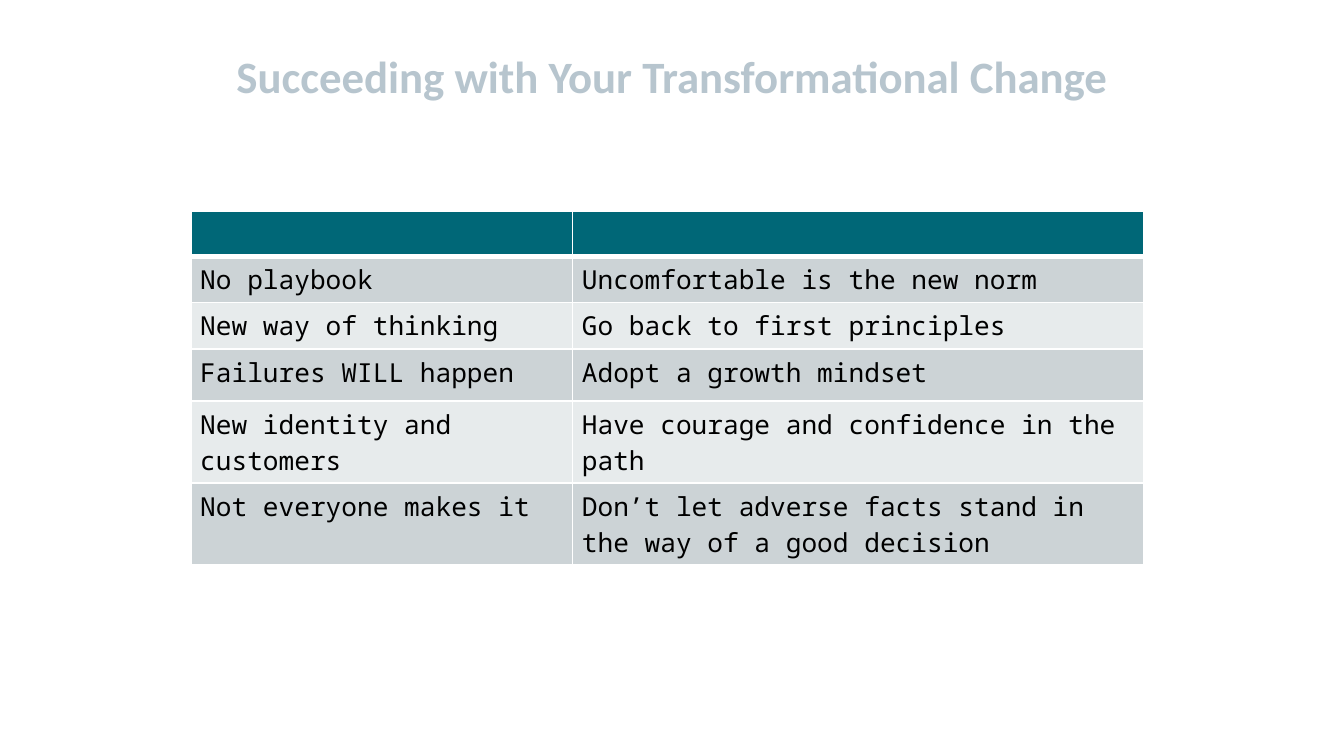
from lxml import etree
from pptx import Presentation
from pptx.dml.color import RGBColor
from pptx.enum.text import MSO_ANCHOR, PP_ALIGN
from pptx.oxml.ns import qn
from pptx.util import Inches, Pt

MIDDLE = MSO_ANCHOR.MIDDLE
TOP = MSO_ANCHOR.TOP
LEFT = PP_ALIGN.LEFT
CENTER = PP_ALIGN.CENTER

TITLE = "Succeeding with Your Transformational Change"
ROWS = [
    ("", ""),
    ("No playbook", "Uncomfortable is the new norm"),
    ("New way of thinking", "Go back to first principles"),
    ("Failures WILL happen", "Adopt a growth mindset"),
    ("New identity and customers", "Have courage and confidence in the path"),
    ("Not everyone makes it",
     "Don’t let adverse facts stand in the way of a good decision"),
]
WIDTHS = [2.84, 4.25]
HEIGHTS = [0.3, 0.3, 0.3, 0.39, 0.3, 0.53]
THEME = {
    "title": "B7C5CE", "text": "000000", "line": "FFFFFF",
    "head": "006777", "bands": ["CCD3D6", "E7EBEC"],
    "title_font": "Calibri", "font": "Noto Sans Mono",
    "title_size": 24, "size": 14, "head_size": 15, "thin": 1, "thick": 3,
}


def write(frame, text, font=THEME["font"], size=THEME["size"],
          color=THEME["text"], bold=False, align=LEFT, anchor=TOP):
    frame.word_wrap = True
    frame.vertical_anchor = anchor
    para = frame.paragraphs[0]
    para.alignment = align
    run = para.add_run()
    run.text = text
    run.font.name = font
    run.font.size = Pt(size)
    run.font.bold = bold
    run.font.color.rgb = RGBColor.from_string(color)


def shrink(cell):
    """Give an empty cell a small type size, so its row stays low."""
    para = cell.text_frame.paragraphs[0]
    end = etree.SubElement(para._p, qn("a:endParaRPr"),
                           sz=str(THEME["head_size"] * 100))
    etree.SubElement(end, qn("a:latin"), typeface=THEME["title_font"])


def border(cell, **widths):
    props = cell._tc.get_or_add_tcPr()
    for place, side in enumerate("LRTB"):
        width = widths.get(side, THEME["thin"])
        line = etree.Element(qn("a:ln" + side), w=str(Pt(width)))
        fill = etree.SubElement(line, qn("a:solidFill"))
        etree.SubElement(fill, qn("a:srgbClr"), val=THEME["line"])
        props.insert(place, line)


def add_grid(slide):
    shape = slide.shapes.add_table(
        len(ROWS), len(WIDTHS), Inches(1.42), Inches(1.57),
        Inches(sum(WIDTHS)), Inches(sum(HEIGHTS)))
    table = shape.table
    for col, width in zip(table.columns, WIDTHS):
        col.width = Inches(width)
    for row, height in zip(table.rows, HEIGHTS):
        row.height = Inches(height)
    for r, texts in enumerate(ROWS):
        color = THEME["bands"][(r - 1) % 2] if r else THEME["head"]
        edges = {0: {"B": THEME["thick"]}, 1: {"T": THEME["thick"]}}.get(r, {})
        for c, text in enumerate(texts):
            cell = table.cell(r, c)
            cell.margin_left = cell.margin_right = Inches(0.07)
            cell.margin_top = cell.margin_bottom = Inches(0.04)
            cell.fill.solid()
            cell.fill.fore_color.rgb = RGBColor.from_string(color)
            border(cell, **edges)
            if text:
                write(cell.text_frame, text)
            else:
                shrink(cell)


def main():
    deck = Presentation()
    deck.slide_width = Inches(10)
    deck.slide_height = deck.slide_width * 9 // 16
    slide = deck.slides.add_slide(deck.slide_layouts[5])
    title = slide.shapes.title
    title.left, title.top = Inches(0.5), Inches(0.25)
    title.width, title.height = Inches(9), Inches(0.62)
    write(title.text_frame, TITLE, font=THEME["title_font"],
          size=THEME["title_size"], color=THEME["title"], bold=True,
          align=CENTER, anchor=MIDDLE)
    add_grid(slide)
    deck.save("out.pptx")


if __name__ == "__main__":
    main()
